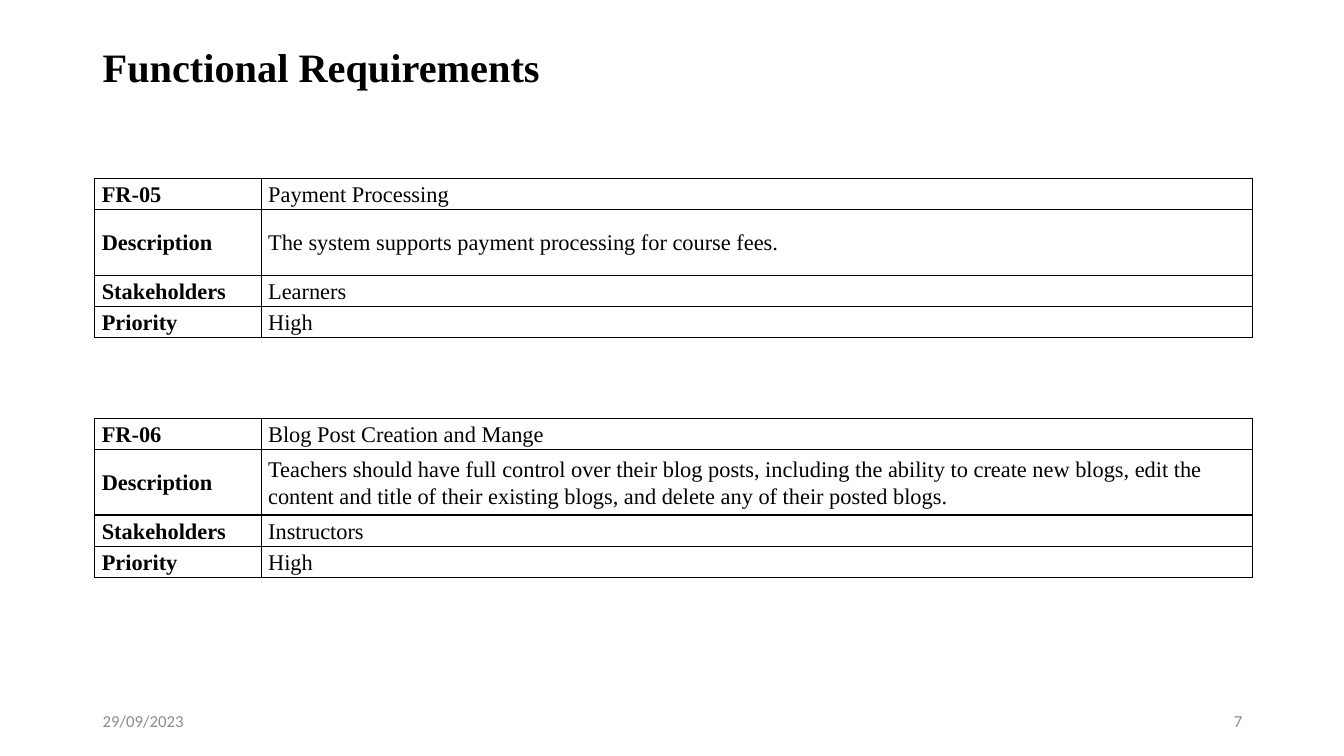
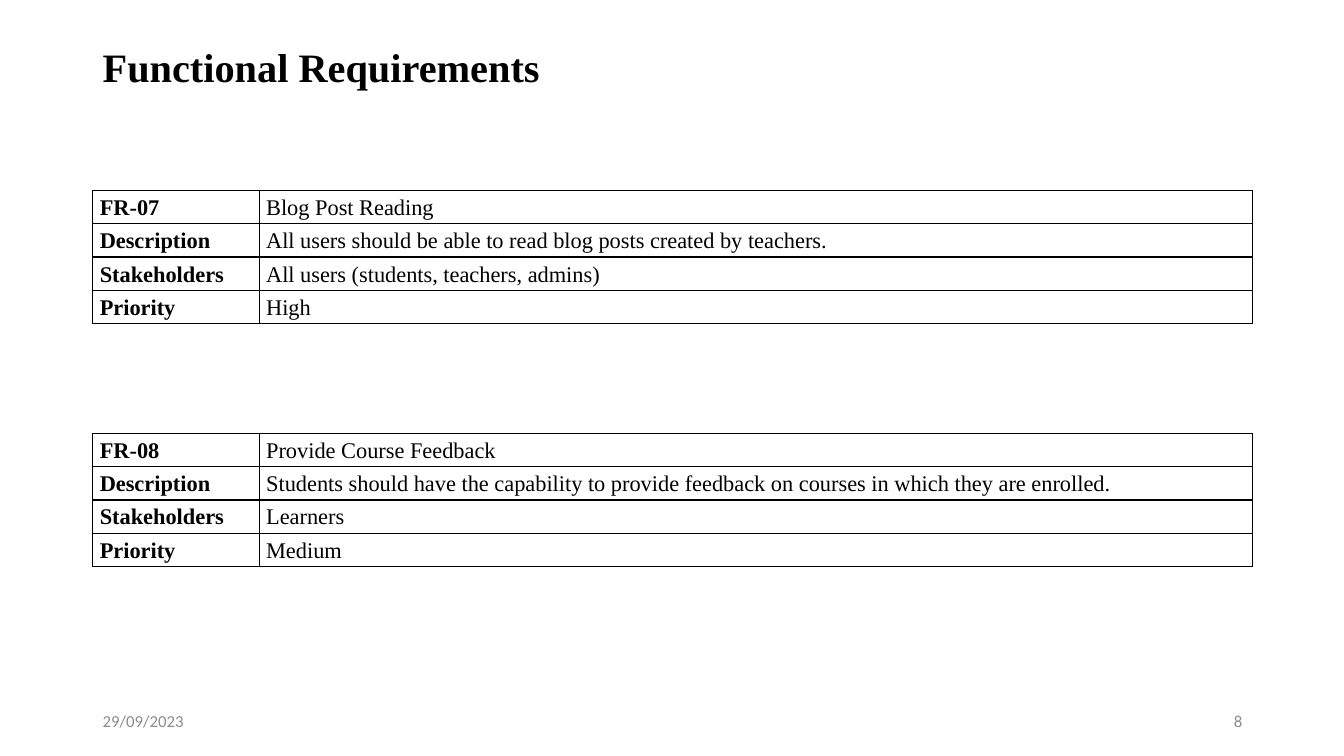
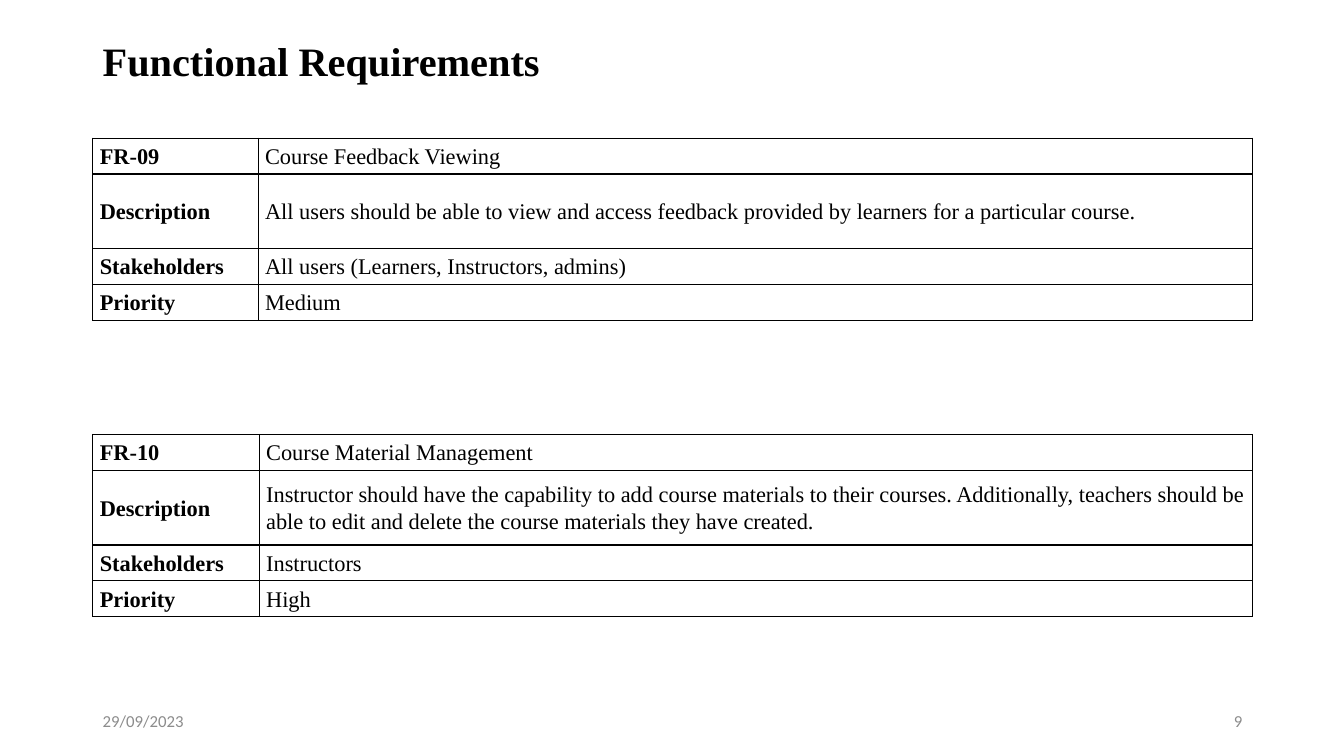
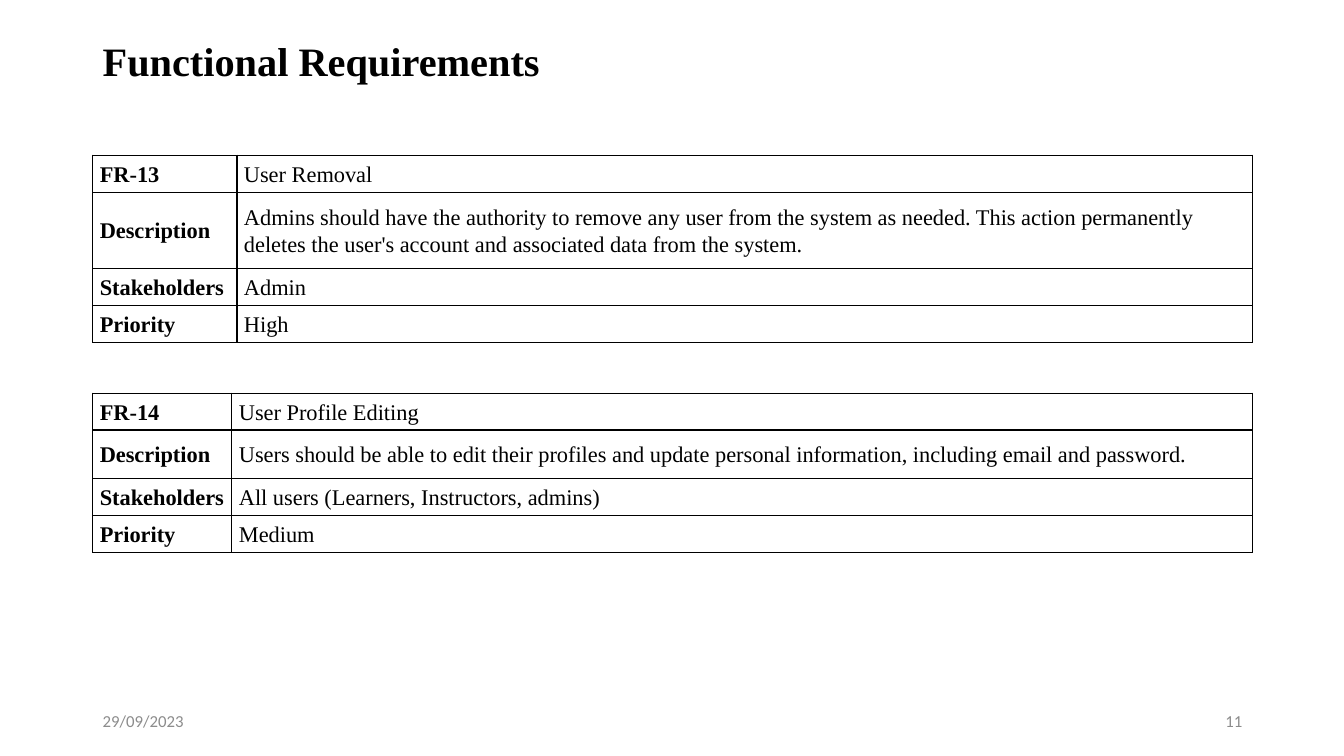
from dataclasses import dataclass
from typing import NamedTuple

from lxml.etree import SubElement
from pptx import Presentation
from pptx.dml.color import RGBColor
from pptx.enum.text import MSO_VERTICAL_ANCHOR as Anchor, PP_PARAGRAPH_ALIGNMENT as Align
from pptx.oxml.ns import qn
from pptx.util import Pt

PX = 9144  # EMU per px, 100 px to the inch


@dataclass(frozen=True)
class Theme:
    ink: str = "000000"
    muted: str = "8C8C8C"
    serif: str = "Times New Roman"
    sans: str = "Calibri"
    title_size: float = 28.8
    table_size: int = 16
    footer_size: int = 12
    border: int = 1


class Box(NamedTuple):
    left: int
    top: int
    width: int
    height: int


THEME = Theme()
TITLE_STYLE = {"name": THEME.serif, "size": Pt(THEME.title_size), "bold": True}
CELL_STYLE = {"name": THEME.serif, "size": Pt(THEME.table_size)}
FOOTER_STYLE = {"name": THEME.sans, "size": Pt(THEME.footer_size)}
CELL_PARA = {"line_spacing": 1.07, "space_after": Pt(8)}
CELL_FRAME = {
    "vertical_anchor": Anchor.MIDDLE,
    "margin_left": 7 * PX, "margin_right": 7 * PX,
    "margin_top": 0, "margin_bottom": 0,
}

PAGE = Box(0, 0, 1333, 750)
MARGIN = 92
CONTENT_WIDTH = 1150
TITLE_HEIGHT = 55
FOOTER = Box(MARGIN, 695, CONTENT_WIDTH, 40)
FOOTER_PART = 300
LABELS = ("Description", "Stakeholders", "Priority")
TITLE = "Functional Requirements"
DATE = "29/09/2023"


def apply_format(target, values):
    for name, value in values.items():
        setattr(target, name, value)


def write(para, text, font, color, layout):
    apply_format(para, layout)
    span = para.add_run()
    span.text = text
    apply_format(span.font, font)
    span.font.color.rgb = RGBColor.from_string(color)


def add_text(page, box, text, font, color, **layout):
    frame = page.shapes.add_textbox(*(side * PX for side in box)).text_frame
    apply_format(frame, {"word_wrap": True, "vertical_anchor": Anchor.MIDDLE})
    write(frame.paragraphs[0], text, font, color, layout)


def add_borders(cell):
    properties = cell._tc.get_or_add_tcPr()
    for side in ("a:lnL", "a:lnR", "a:lnT", "a:lnB"):
        line = SubElement(properties, qn(side), w=str(Pt(THEME.border)))
        fill = SubElement(line, qn("a:solidFill"))
        SubElement(fill, qn("a:srgbClr"), val=THEME.ink)


def add_footer(page, box, number):
    """Date at the left end of the box, page number at the right end."""
    date_box = box._replace(width=FOOTER_PART)
    number_box = date_box._replace(left=box.left + box.width - FOOTER_PART)
    add_text(page, date_box, DATE, FOOTER_STYLE, THEME.muted)
    add_text(page, number_box, str(number), FOOTER_STYLE, THEME.muted, alignment=Align.RIGHT)


def add_requirement(page, box, label_width, description_height, code, values):
    """One requirement: bold labels beside values; the description row may be taller."""
    rows = list(zip((code, *LABELS), values))
    table = page.shapes.add_table(len(rows), 2, *(side * PX for side in box)).table
    apply_format(table, {"first_row": False, "horz_banding": False})

    # Column widths and row heights fill the box
    for column, width in zip(table.columns, (label_width, box.width - label_width)):
        column.width = width * PX
    plain_height = (box.height - description_height) * PX // (len(rows) - 1)
    for index, row in enumerate(table.rows):
        row.height = description_height * PX if index == 1 else plain_height

    # Cells
    for row_index, texts in enumerate(rows):
        for column_index, text in enumerate(texts):
            cell = table.cell(row_index, column_index)
            apply_format(cell, CELL_FRAME)
            add_borders(cell)
            cell.fill.background()
            font = {**CELL_STYLE, "bold": column_index == 0}
            write(cell.text_frame.paragraphs[0], text, font, THEME.ink, CELL_PARA)


def add_requirements_page(deck, number, title_top, left, requirements):
    page = deck.slides.add_slide(deck.slide_layouts[6])
    title_box = Box(MARGIN, title_top, CONTENT_WIDTH, TITLE_HEIGHT)
    add_text(page, title_box, TITLE, TITLE_STYLE, THEME.ink, line_spacing=0.9)
    add_footer(page, FOOTER, number)
    width = MARGIN + CONTENT_WIDTH - left
    for top, height, *details in requirements:
        add_requirement(page, Box(left, top, width, height), *details)


# Page number, title top, table left, then for each requirement:
# top, height, label width, description height, code, values
PAGES = (
    (7, 41, 94, (
        (177, 158, 165, 65, "FR-05", (
            "Payment Processing",
            "The system supports payment processing for course fees.",
            "Learners", "High")),
        (415, 158, 165, 65, "FR-06", (
            "Blog Post Creation and Mange",
            "Teachers should have full control over their blog posts, including the ability to "
            "create new blogs, edit the content and title of their existing blogs, and delete "
            "any of their posted blogs.",
            "Instructors", "High")),
    )),
    (8, 41, 92, (
        (189, 132, 165, 33, "FR-07", (
            "Blog Post Reading",
            "All users should be able to read blog posts created by teachers.",
            "All users (students, teachers, admins)", "High")),
        (430, 132, 165, 33, "FR-08", (
            "Provide Course Feedback",
            "Students should have the capability to provide feedback on courses in which they "
            "are enrolled.",
            "Learners", "Medium")),
    )),
    (9, 35, 92, (
        (137, 181, 164, 74, "FR-09", (
            "Course Feedback Viewing",
            "All users should be able to view and access feedback provided by learners for a "
            "particular course.",
            "All users (Learners, Instructors, admins)", "Medium")),
        (431, 181, 165, 74, "FR-10", (
            "Course Material Management",
            "Instructor should have the capability to add course materials to their courses. "
            "Additionally, teachers should be able to edit and delete the course materials "
            "they have created.",
            "Instructors", "High")),
    )),
    (11, 35, 92, (
        (154, 186, 143, 76, "FR-13", (
            "User Removal",
            "Admins should have the authority to remove any user from the system as needed. "
            "This action permanently deletes the user's account and associated data from the "
            "system.",
            "Admin", "High")),
        (390, 158, 138, 48, "FR-14", (
            "User Profile Editing",
            "Users should be able to edit their profiles and update personal information, "
            "including email and password.",
            "All users (Learners, Instructors, admins)", "Medium")),
    )),
)


def main():
    deck = Presentation()
    apply_format(deck, {"slide_width": PAGE.width * PX, "slide_height": PAGE.height * PX})
    for details in PAGES:
        add_requirements_page(deck, *details)
    deck.save("out.pptx")


if __name__ == "__main__":
    main()
